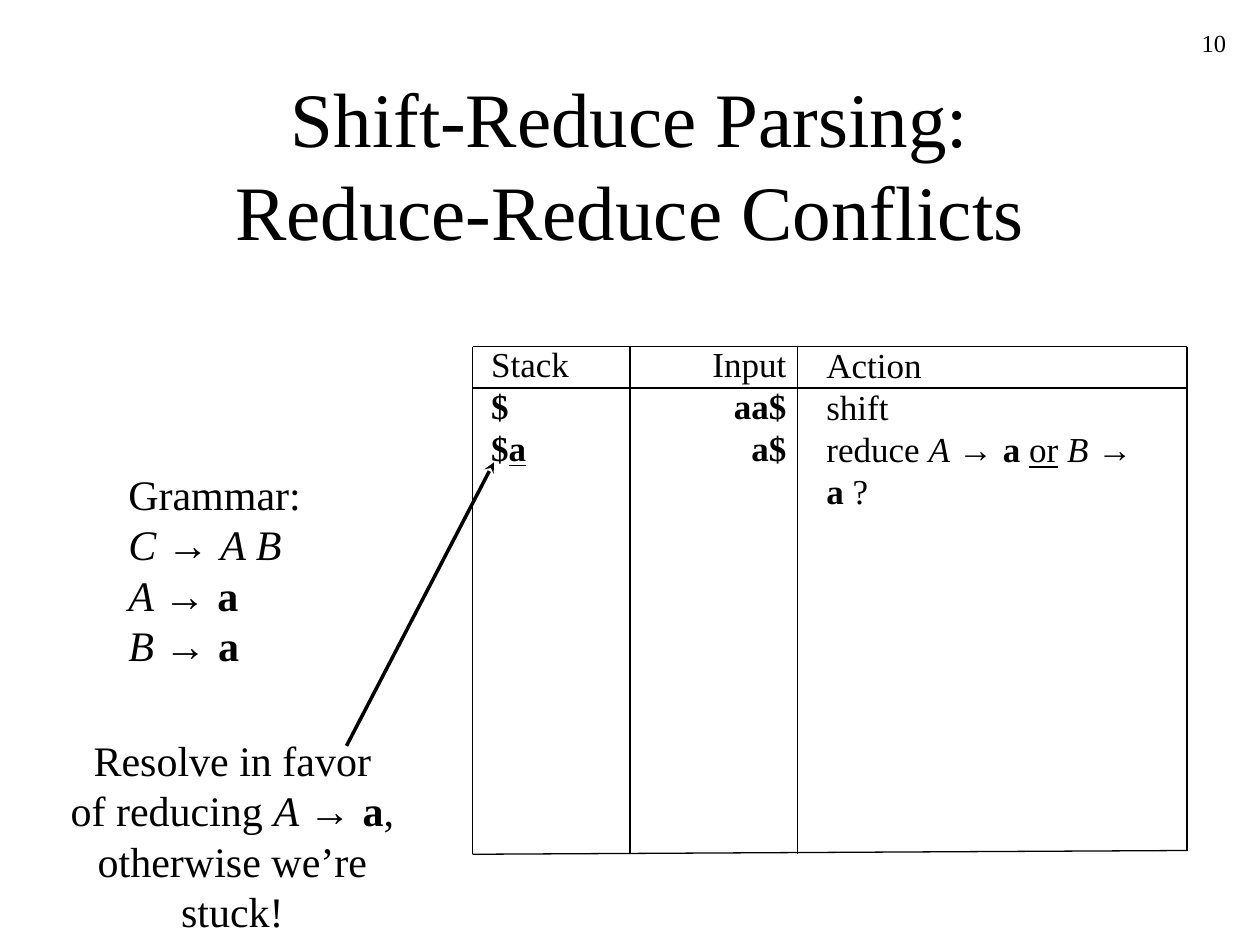
from dataclasses import dataclass

from lxml.etree import SubElement
from pptx import Presentation
from pptx.dml.color import RGBColor
from pptx.enum.shapes import MSO_CONNECTOR
from pptx.enum.text import MSO_ANCHOR, MSO_AUTO_SIZE, PP_ALIGN
from pptx.oxml.ns import qn
from pptx.util import Inches, Pt

COLORS = {"ink": "000000", "paper": "FFFFFF"}
SERIF, SANS = "Times New Roman", "Arial"


@dataclass(frozen=True)
class Run:
    text: str
    bold: bool = False
    italic: bool = False
    underline: bool = False
    font: str = SERIF


@dataclass(frozen=True)
class Block:
    left: float
    top: float
    width: float
    height: float
    size: int
    lines: tuple
    align: PP_ALIGN = PP_ALIGN.LEFT
    wrap: bool = False
    right_inset: float = 0.1


@dataclass(frozen=True)
class Line:
    x1: float
    y1: float
    x2: float
    y2: float
    weight: float = 0.75
    arrow: bool = False


def add_run(paragraph, run: Run, size: int) -> None:
    piece = paragraph.add_run()
    piece.text = run.text
    font = piece.font
    font.name, font.size = run.font, Pt(size)
    font.bold, font.italic, font.underline = run.bold, run.italic, run.underline
    font.color.rgb = RGBColor.from_string(COLORS["ink"])


def draw_block(slide, block: Block) -> None:
    box = slide.shapes.add_textbox(Inches(block.left), Inches(block.top),
                                   Inches(block.width), Inches(block.height))
    frame = box.text_frame
    frame.word_wrap = block.wrap
    frame.margin_right = Inches(block.right_inset)
    for index, line in enumerate(block.lines):
        paragraph = frame.add_paragraph() if index else frame.paragraphs[0]
        paragraph.alignment = block.align
        for run in line:
            add_run(paragraph, run, block.size)


def draw_line(slide, line: Line) -> None:
    connector = slide.shapes.add_connector(
        MSO_CONNECTOR.STRAIGHT, Inches(line.x1), Inches(line.y1),
        Inches(line.x2), Inches(line.y2))
    connector.line.color.rgb = RGBColor.from_string(COLORS["ink"])
    connector.line.width = Pt(line.weight)
    if line.arrow:
        SubElement(connector.line._get_or_add_ln(), qn("a:tailEnd"), type="stealth")
    SubElement(connector._element.spPr, qn("a:effectLst"))


def draw_title(slide, lines: tuple) -> None:
    title = slide.shapes.title
    title.left, title.top = Inches(0.75), Inches(0.67)
    title.width, title.height = Inches(8.5), Inches(1.25)
    frame = title.text_frame
    frame.auto_size = MSO_AUTO_SIZE.NONE
    frame.vertical_anchor = MSO_ANCHOR.MIDDLE
    paragraph = frame.paragraphs[0]
    paragraph.alignment = PP_ALIGN.CENTER
    for index, text in enumerate(lines):
        if index:
            paragraph.add_line_break()
        add_run(paragraph, Run(text), 44)


def nonterminal(name: str) -> Run:
    return Run(name, italic=True)


def terminal(name: str) -> Run:
    return Run(name, bold=True)


ARROW = Run("→ ", font=SANS)

PAGE_NUMBER = Block(7.75, 0.17, 2.08, 0.5, 14, ((Run("10"),),),
                    PP_ALIGN.RIGHT, wrap=True)
STACK = Block(3.8, 2.67, 0.82, 1.1, 20, (
    (Run("Stack"),),
    (terminal("$"),),
    (terminal("$"), Run("a", bold=True, underline=True)),
))
INPUT = Block(5.55, 2.67, 0.79, 1.1, 20, (
    (Run("Input"),),
    (terminal("aa$"),),
    (terminal("a$"),),
), PP_ALIGN.RIGHT)
ACTION = Block(6.46, 2.68, 2.92, 1.1, 20, (
    (Run("Action"),),
    (Run("shift"),),
    (Run("reduce "), nonterminal("A "), ARROW, terminal("a "),
     Run("or", underline=True), terminal(" "), nonterminal("B "), ARROW,
     terminal("a "), Run("?")),
), wrap=True, right_inset=0.3)
GRAMMAR = Block(0.92, 3.67, 1.57, 1.7, 24, (
    (Run("Grammar:"),),
    (nonterminal("C "), ARROW, nonterminal("A B")),
    (nonterminal("A "), ARROW, terminal("a")),
    (nonterminal("B "), ARROW, terminal("a")),
))
RESOLUTION = Block(0.23, 5.78, 3.23, 1.3, 24, (
    (Run("Resolve in favor"),),
    (Run("of reducing "), nonterminal("A "), ARROW, terminal("a"), Run(",")),
    (Run("otherwise we’re stuck!"),),
), PP_ALIGN.CENTER)

LEFT, RIGHT, TOP, HEADER, BOTTOM, BOTTOM_RIGHT = 3.75, 9.42, 2.75, 3.08, 6.78, 6.75
TRACE_GRID = (
    *(Line(x, TOP, x, BOTTOM) for x in (LEFT, 5, 6.33)),
    Line(RIGHT, TOP, RIGHT, BOTTOM_RIGHT),
    *(Line(LEFT, y, RIGHT, y) for y in (TOP, HEADER)),
    Line(LEFT, BOTTOM, RIGHT, BOTTOM_RIGHT),
)
CONFLICT_POINTER = Line(2.75, 5.92, 3.92, 3.67, weight=2, arrow=True)


def main() -> None:
    deck = Presentation()
    deck.slide_width, deck.slide_height = Inches(10), Inches(7.5)
    slide = deck.slides.add_slide(deck.slide_layouts[5])
    slide.background.fill.solid()
    slide.background.fill.fore_color.rgb = RGBColor.from_string(COLORS["paper"])
    draw_title(slide, ("Shift-Reduce Parsing:", "Reduce-Reduce Conflicts"))
    for block in (PAGE_NUMBER, STACK, INPUT, ACTION):
        draw_block(slide, block)
    for line in TRACE_GRID:
        draw_line(slide, line)
    for block in (GRAMMAR, RESOLUTION):
        draw_block(slide, block)
    draw_line(slide, CONFLICT_POINTER)
    deck.save("out.pptx")


if __name__ == "__main__":
    main()
